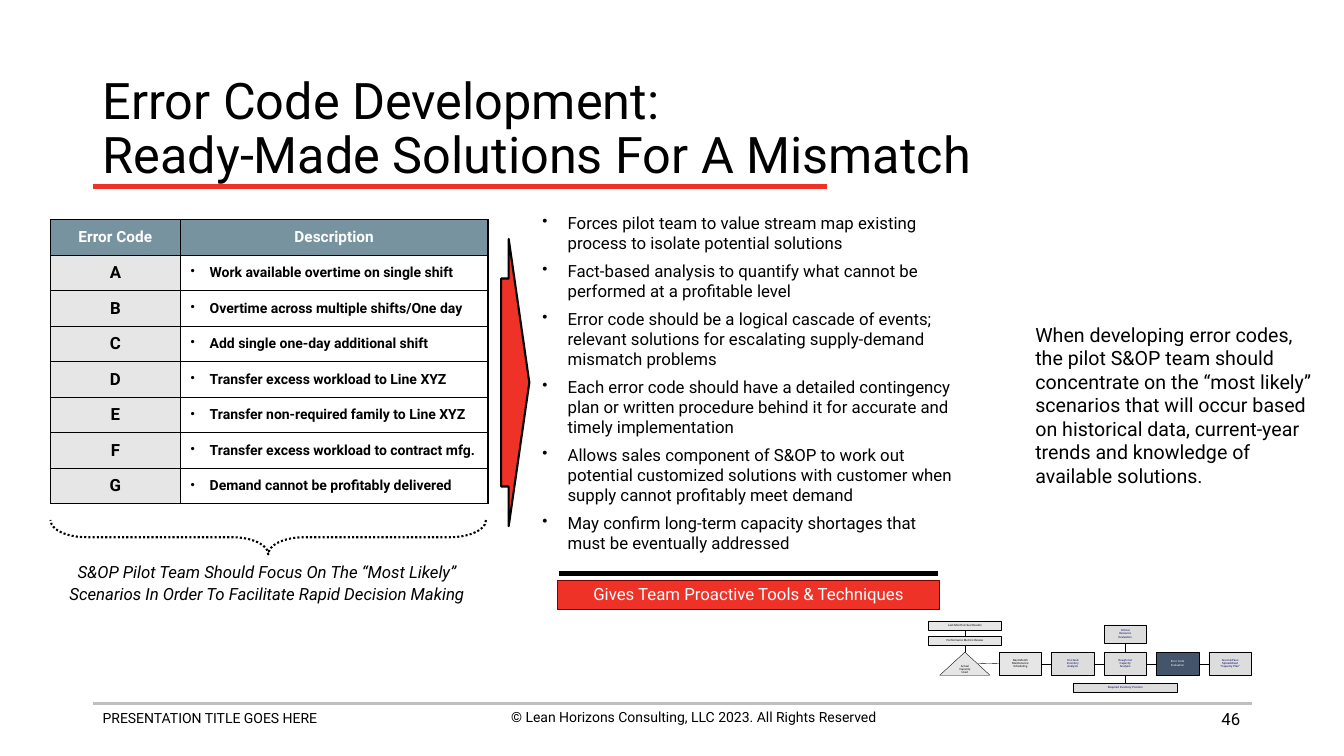
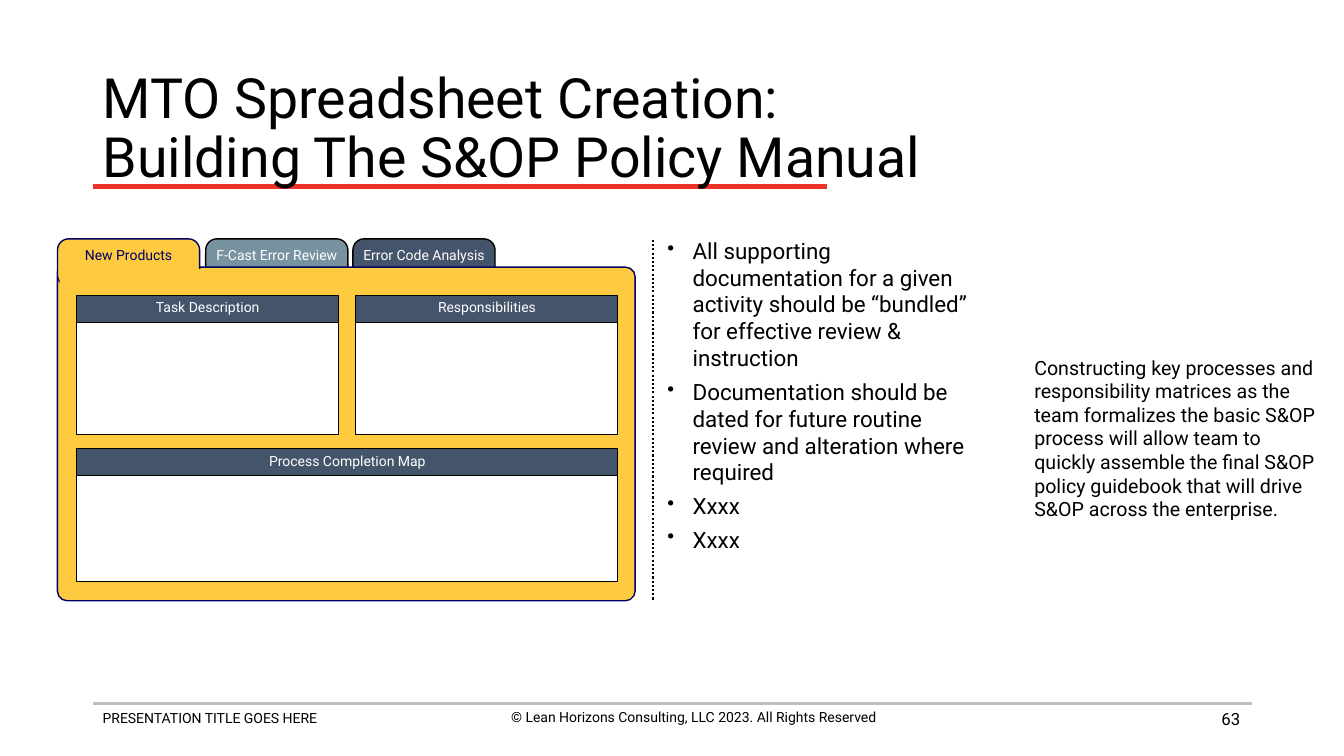
"""Build two S&OP training slides with shared title, rule and footer styling."""
from dataclasses import dataclass, replace

import lxml.etree
import pptx
import pptx.dml.color
import pptx.enum.dml
import pptx.enum.shapes
import pptx.enum.text
import pptx.oxml.ns
import pptx.util

Inches, Pt = pptx.util.Inches, pptx.util.Pt
SHAPE = pptx.enum.shapes.MSO_SHAPE
ALIGN = pptx.enum.text.PP_ALIGN
ANCHOR = pptx.enum.text.MSO_ANCHOR
DOTTED = pptx.enum.dml.MSO_LINE.ROUND_DOT
qn = pptx.oxml.ns.qn

FONT = "Roboto"
COLORS = {
    "black": "000000", "white": "FFFFFF", "red": "EE3228", "maroon": "800000",
    "rule": "BFBFBF", "teal": "76939F", "slate": "44546A", "light": "E7E6E6",
    "grey": "DDDDDD", "navy": "000066", "yellow": "FDCA40",
}


@dataclass(frozen=True)
class Box:
    x: float
    y: float
    w: float
    h: float


@dataclass(frozen=True)
class Style:
    size: float
    color: str = "black"
    align: ALIGN = ALIGN.LEFT
    bold: bool = False
    italic: bool = False
    spacing: float = 1.0
    before: float = 0.0
    indent: float = 0.0


@dataclass(frozen=True)
class Node:
    text: str
    box: Box
    fill: str
    color: str
    shape: SHAPE = SHAPE.RECTANGLE


@dataclass(frozen=True)
class Tab:
    text: str
    x: float
    fill: str
    line: str
    color: str


@dataclass(frozen=True)
class Panel:
    text: str
    box: Box


FOOTER = Style(10)
PAGE_NUMBER = Style(12, align=ALIGN.RIGHT)
NOTE = Style(14)
LABEL = Style(10, "white", ALIGN.CENTER, spacing=0.8, before=0.2)
NODE = replace(LABEL, size=2)
CODE = Style(12, align=ALIGN.CENTER, bold=True)
HEADER = replace(CODE, size=11, color="white")
DESCRIPTION = Style(10, bold=True, indent=0.19)
BULLETS = Style(12, before=0.45, indent=0.25)
CAPTION = Style(12, align=ALIGN.CENTER, italic=True, spacing=0.9, before=0.2)

ERROR_CODES = [
    ("A", "Work available overtime on single shift"),
    ("B", "Overtime across multiple shifts/One day"),
    ("C", "Add single one-day additional shift"),
    ("D", "Transfer excess workload to Line XYZ"),
    ("E", "Transfer non-required family to Line XYZ"),
    ("F", "Transfer excess workload to contract mfg."),
    ("G", "Demand cannot be profitably delivered"),
]
ERROR_POINTS = [
    "Forces pilot team to value stream map existing process to isolate potential solutions",
    "Fact-based analysis to quantify what cannot be performed at a profitable level",
    "Error code should be a logical cascade of events; relevant solutions for escalating "
    "supply-demand mismatch problems",
    "Each error code should have a detailed contingency plan or written procedure behind it "
    "for accurate and timely implementation",
    "Allows sales component of S&OP to work out potential customized solutions with customer "
    "when supply cannot profitably meet demand",
    "May confirm long-term capacity shortages that must be eventually addressed",
]
MANUAL_POINTS = [
    "All supporting documentation for a given activity should be “bundled” for effective "
    "review & instruction",
    "Documentation should be dated for future routine review and alteration where required",
    "Xxxx",
    "Xxxx",
]
STEP_X, STEP_PITCH, STEP_Y, STEP_W, STEP_H = 9.91, 0.52, 6.47, 0.42, 0.23
STEPS = [
    ("Next-Month\nMaintenance\nScheduling", "light", "black"),
    ("On-Hand\nInventory\nAnalysis", "grey", "navy"),
    ("Rough-Cut\nCapacity\nAnalysis", "grey", "navy"),
    ("Error Code\nEvaluation", "slate", "white"),
    ("Second-Pass\nSpreadsheet\n“Capacity Plan”", "grey", "navy"),
]
RESULTS = Node("Last-Month Actual Results", Box(9.21, 6.16, 0.72, 0.09), "light", "black")
METRICS = Node("Performance Metrics Review", Box(9.21, 6.31, 0.72, 0.09), "light", "black")
CAPACITY = Node("Actual\nCapacity\nUsed", Box(9.32, 6.47, 0.5, 0.23), "light", "black",
                SHAPE.ISOSCELES_TRIANGLE)
CRITICAL = Node("Critical\nResource\nEvaluation", Box(10.95, 6.2, 0.42, 0.18), "grey", "navy")
POSITION = Node("Required Inventory Position", Box(10.64, 6.78, 1.04, 0.09), "grey", "navy")

TABS = [
    Tab("F-Cast Error Review", 2.04, "teal", "black", "white"),
    Tab("Error Code Analysis", 3.5, "slate", "black", "white"),
    Tab("New Products", 0.57, "yellow", "navy", "navy"),
]
PANELS = [
    Panel("Task Description", Box(0.76, 2.93, 2.6, 1.38)),
    Panel("Responsibilities", Box(3.53, 2.93, 2.6, 1.38)),
    Panel("Process Completion Map", Box(0.76, 4.45, 5.37, 1.32)),
]


def rgb(name: str) -> pptx.dml.color.RGBColor:
    return pptx.dml.color.RGBColor.from_string(COLORS[name])


def place(box: Box) -> tuple:
    return Inches(box.x), Inches(box.y), Inches(box.w), Inches(box.h)


def write(tf, text: str, style: Style) -> None:
    tf.text = text
    for i, p in enumerate(tf.paragraphs):
        if style.indent:
            pPr = p._p.get_or_add_pPr()
            pPr.set("marL", str(Inches(style.indent)))
            pPr.set("indent", str(-Inches(style.indent)))
            lxml.etree.SubElement(pPr, qn("a:buSzPct"), val="90000")
            lxml.etree.SubElement(pPr, qn("a:buChar"), char="•")
        p.alignment = style.align
        if style.spacing != 1:
            p.line_spacing = style.spacing
        if i and style.before:
            p.space_before = Pt(style.before * style.size)
        for r in p.runs:
            r.font.name = FONT
            r.font.size = Pt(style.size)
            r.font.bold = style.bold
            r.font.italic = style.italic
            r.font.color.rgb = rgb(style.color)


def add_text(s, box: Box, text: str, style: Style, anchor=ANCHOR.TOP, inset=(0.1, 0.05)) -> None:
    tf = s.shapes.add_textbox(*place(box)).text_frame
    tf.word_wrap = True
    tf.vertical_anchor = anchor
    tf.margin_left = tf.margin_right = Inches(inset[0])
    tf.margin_top = tf.margin_bottom = Inches(inset[1])
    write(tf, text, style)


def add_shape(s, kind: SHAPE, box: Box, fill: str = "", line: str = "", width: float = 1,
              adjust: tuple = ()):
    sp = s.shapes.add_shape(kind, *place(box))
    sp.shadow.inherit = False
    for i, value in enumerate(adjust):
        sp.adjustments[i] = value
    if fill:
        sp.fill.solid()
        sp.fill.fore_color.rgb = rgb(fill)
    else:
        sp.fill.background()
    if line:
        sp.line.color.rgb = rgb(line)
        sp.line.width = Pt(width)
    else:
        sp.line.fill.background()
    return sp


def label(sp, text: str, style: Style, anchor=ANCHOR.MIDDLE, top: float = 0) -> None:
    tf = sp.text_frame
    tf.word_wrap = False
    tf.vertical_anchor = anchor
    tf.margin_left = tf.margin_right = tf.margin_bottom = 0
    tf.margin_top = Inches(top)
    write(tf, text, style)


def add_line(s, x1: float, y1: float, x2: float, y2: float, color: str, width: float):
    ln = s.shapes.add_connector(pptx.enum.shapes.MSO_CONNECTOR.STRAIGHT,
                                Inches(x1), Inches(y1), Inches(x2), Inches(y2))
    lxml.etree.SubElement(ln._element.spPr, qn("a:effectLst"))
    ln.line.color.rgb = rgb(color)
    ln.line.width = Pt(width)
    return ln


def join(s, start, start_side: int, end, end_side: int) -> None:
    ln = add_line(s, 0, 0, 1, 1, "black", 0.25)
    ln.begin_connect(start, start_side)
    ln.end_connect(end, end_side)


def add_node(s, node: Node):
    sp = add_shape(s, node.shape, node.box, node.fill, "black", 0.25)
    label(sp, node.text, replace(NODE, color=node.color))
    return sp


def new_slide(prs, title: str, title_size: float, number: int):
    s = prs.slides.add_slide(prs.slide_layouts[6])
    add_line(s, 0.92, 6.98, 12.42, 6.98, "rule", 2)
    add_text(s, Box(0.92, 6.99, 4.56, 0.44), "PRESENTATION TITLE GOES HERE", FOOTER)
    add_text(s, Box(4.6, 6.98, 4.56, 0.44),
             "© Lean Horizons Consulting, LLC 2023. All Rights Reserved",
             replace(FOOTER, align=ALIGN.CENTER))
    add_text(s, Box(9.4, 6.93, 3, 0.4), str(number), PAGE_NUMBER, ANCHOR.MIDDLE)
    add_line(s, 0.92, 1.85, 8.2, 1.85, "red", 3)
    add_text(s, Box(0.92, 0.74, 11.5, 1.1), title, Style(title_size, spacing=0.9), ANCHOR.MIDDLE)
    return s


def fill_cell(cell, text: str, style: Style, fill: str) -> None:
    cell.fill.solid()
    cell.fill.fore_color.rgb = rgb(fill)
    cell.vertical_anchor = ANCHOR.MIDDLE
    cell.margin_right = Inches(0.05 if style.indent else 0.1)
    write(cell.text_frame, text, style)
    tcPr = cell._tc.get_or_add_tcPr()
    for i, side in enumerate(("lnL", "lnR", "lnT", "lnB")):
        ln = lxml.etree.Element(qn(f"a:{side}"), w=str(Pt(1)))
        solid = lxml.etree.SubElement(ln, qn("a:solidFill"))
        lxml.etree.SubElement(solid, qn("a:srgbClr"), val=COLORS["black"])
        tcPr.insert(i, ln)


def add_code_table(s) -> None:
    table = s.shapes.add_table(len(ERROR_CODES) + 1, 2, *place(Box(0.5, 2.18, 4.34, 2.82))).table
    table.columns[0].width, table.columns[1].width = Inches(1.29), Inches(3.05)
    for col, text in enumerate(("Error Code", "Description")):
        fill_cell(table.cell(0, col), text, HEADER, "teal")
    for row, (code, description) in enumerate(ERROR_CODES, 1):
        fill_cell(table.cell(row, 0), code, CODE, "light")
        fill_cell(table.cell(row, 1), description, DESCRIPTION, "white")


def add_process_map(s) -> None:
    results, metrics, capacity, critical, position = (
        add_node(s, node) for node in (RESULTS, METRICS, CAPACITY, CRITICAL, POSITION))
    steps = [add_node(s, Node(text, Box(STEP_X + i * STEP_PITCH, STEP_Y, STEP_W, STEP_H), fill, color))
             for i, (text, fill, color) in enumerate(STEPS)]
    for start, end in ((results, metrics), (metrics, capacity),
                       (critical, steps[2]), (steps[2], position)):
        join(s, start, 2, end, 0)
    for start, end in zip(steps, steps[1:]):
        join(s, start, 3, end, 1)
    add_line(s, 9.7, 6.58, STEP_X, 6.58, "black", 0.25).end_connect(steps[0], 1)


def build_error_codes(prs) -> None:
    s = new_slide(prs, "Error Code Development:\vReady-Made Solutions For A Mismatch", 36, 46)
    add_text(s, Box(10.17, 3.15, 3.01, 1.75),
             "When developing error codes, the pilot S&OP team should concentrate on the “most "
             "likely” scenarios that will occur based on historical data, current-year trends and "
             "knowledge of available solutions.", NOTE)
    add_code_table(s)
    add_text(s, Box(5.3, 2.07, 4.23, 3.56), "\n".join(ERROR_POINTS), BULLETS, inset=(0.08, 0.04))
    add_line(s, 5.54, 5.69, 9.3, 5.69, "black", 3)
    banner = add_shape(s, SHAPE.RECTANGLE, Box(5.53, 5.76, 3.79, 0.29), "red", "maroon")
    label(banner, "Gives Team Proactive Tools & Techniques", replace(LABEL, size=12))
    add_shape(s, SHAPE.RIGHT_ARROW, Box(4.97, 2.37, 0.28, 2.85), "red", "black", 1.5, (0.724, 0.731))
    brace = add_shape(s, SHAPE.RIGHT_BRACE, Box(2.49, 3.17, 0.34, 4.32), "", "black", 1.5, (1.048, 0.5))
    brace.rotation = 90
    brace.line.dash_style = DOTTED
    add_text(s, Box(0.09, 5.55, 5.12, 0.5),
             "S&OP Pilot Team Should Focus On The “Most Likely”\n"
             "Scenarios In Order To Facilitate Rapid Decision Making", CAPTION)
    add_process_map(s)


def add_tab(s, tab: Tab) -> None:
    sp = add_shape(s, SHAPE.ROUNDED_RECTANGLE, Box(tab.x, 2.37, 1.41, 0.47), tab.fill, tab.line,
                   adjust=(0.236,))
    label(sp, tab.text, replace(LABEL, color=tab.color), ANCHOR.TOP, 0.08)


def add_panel(s, panel: Panel) -> None:
    b, head = panel.box, 0.27
    sp = add_shape(s, SHAPE.RECTANGLE, replace(b, h=head), "slate", "black", 0.75)
    label(sp, panel.text, LABEL)
    add_shape(s, SHAPE.RECTANGLE, Box(b.x, b.y + head, b.w, b.h - head), "white", "black", 0.75)


def build_policy_manual(prs) -> None:
    s = new_slide(prs, "MTO Spreadsheet Creation:\vBuilding The S&OP Policy Manual", 39.6, 63)
    add_text(s, Box(10.16, 3.48, 3.01, 1.75),
             "Constructing key processes and responsibility matrices as the team formalizes the "
             "basic S&OP process will allow team to quickly assemble the final S&OP policy "
             "guidebook that will drive S&OP across the enterprise.", NOTE)
    *back_tabs, front_tab = TABS
    for tab in back_tabs:
        add_tab(s, tab)
    add_shape(s, SHAPE.ROUNDED_RECTANGLE, Box(0.57, 2.65, 5.73, 3.31), "yellow", "navy", adjust=(0.029,))
    add_tab(s, front_tab)
    add_shape(s, SHAPE.RECTANGLE, Box(0.59, 2.67, 1.49, 0.25), "yellow")
    for panel in PANELS:
        add_panel(s, panel)
    add_line(s, 6.48, 2.38, 6.48, 5.95, "black", 1.5).line.dash_style = DOTTED
    add_text(s, Box(6.54, 2.31, 3.27, 3.28), "\n".join(MANUAL_POINTS),
             replace(BULLETS, size=16, before=0.3), inset=(0.08, 0.04))


def main() -> None:
    prs = pptx.Presentation()
    prs.slide_width, prs.slide_height = Inches(13.33), Inches(7.5)
    build_error_codes(prs)
    build_policy_manual(prs)
    prs.save("out.pptx")


if __name__ == "__main__":
    main()
